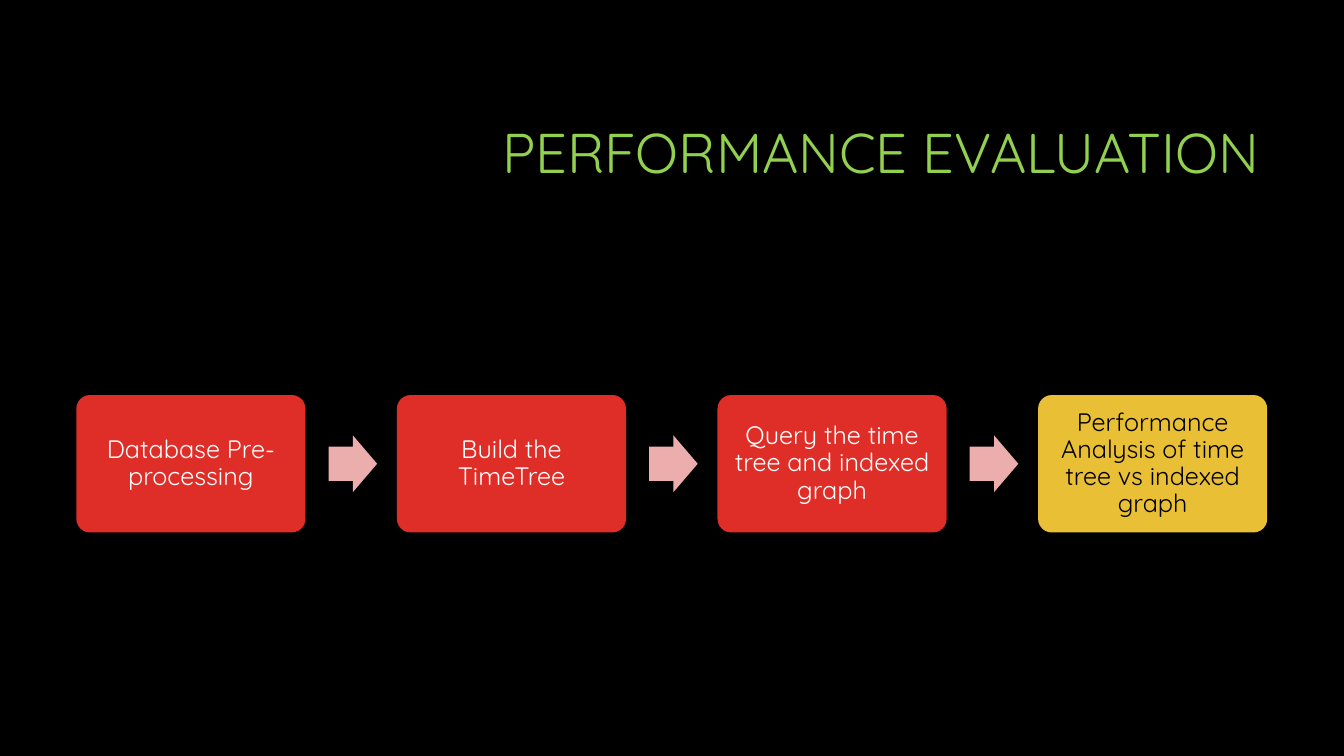
from pptx import Presentation
from pptx.dml.color import RGBColor
from pptx.enum.shapes import MSO_SHAPE as Form
from pptx.enum.text import MSO_ANCHOR as Anchor, PP_ALIGN as Align
from pptx.util import Pt

# Content
TITLE = "PERFORMANCE EVALUATION"
STEPS = [
    ("Database Pre-processing", "DF2E28", "FFFFFF"),
    ("Build the TimeTree", "DF2E28", "FFFFFF"),
    ("Query the time tree and indexed graph", "DF2E28", "FFFFFF"),
    ("Performance Analysis of time tree vs indexed graph", "E9BF35", "000000"),
]

# Layout in points
LEFT, PITCH, MID = 54.5, 229, 331.3
BOX_W, BOX_H = 163.7, 98.2
ARROW_W, ARROW_H, GAP = 34.7, 40.6, 16.5


def color(code):
    return RGBColor.from_string(code)


def write(shape, text, size, ink, align, pad):
    frame = shape.text_frame
    sides = {"margin_" + side: Pt(n) for side, n in pad.items()}
    look = {"word_wrap": True, "vertical_anchor": Anchor.MIDDLE, **sides}
    for key, val in look.items():
        setattr(frame, key, val)
    para = frame.paragraphs[0]
    para.alignment, para.line_spacing = align, 0.9
    run = para.add_run()
    run.text = text
    for key, val in {"name": "Quicksand", "size": Pt(size)}.items():
        setattr(run.font, key, val)
    run.font.color.rgb = color(ink)


def draw(form, left, wide, high, fill, adjust):
    shape = slide.shapes.add_shape(
        form, Pt(left), Pt(MID - high / 2), Pt(wide), Pt(high))
    for i, val in enumerate(adjust):
        shape.adjustments[i] = val
    shape.shadow.inherit = False
    shape.fill.solid()
    shape.fill.fore_color.rgb = color(fill)
    shape.line.fill.background()
    return shape


# Slide
deck = Presentation()
deck.slide_width, deck.slide_height = Pt(960), Pt(540)
slide = deck.slides.add_slide(deck.slide_layouts[6])
slide.background.fill.solid()
slide.background.fill.fore_color.rgb = color("000000")

# Title
head = slide.shapes.add_textbox(Pt(228.2), Pt(60.5), Pt(678.2), Pt(101.5))
write(head, TITLE, 40, "92D050", Align.RIGHT,
      {"left": 7.2, "right": 7.2, "top": 3.6, "bottom": 3.6})

# Steps with an arrow between each pair
for i, (text, fill, ink) in enumerate(STEPS):
    left = LEFT + i * PITCH
    if i:
        draw(Form.RIGHT_ARROW, left - PITCH + BOX_W + GAP,
             ARROW_W, ARROW_H, "ECADAD", [0.6, 0.5])
    box = draw(Form.ROUNDED_RECTANGLE, left, BOX_W, BOX_H, fill, [0.1])
    write(box, text, 18, ink, Align.CENTER,
          dict.fromkeys(("left", "right", "top", "bottom"), 5))

deck.save("out.pptx")
